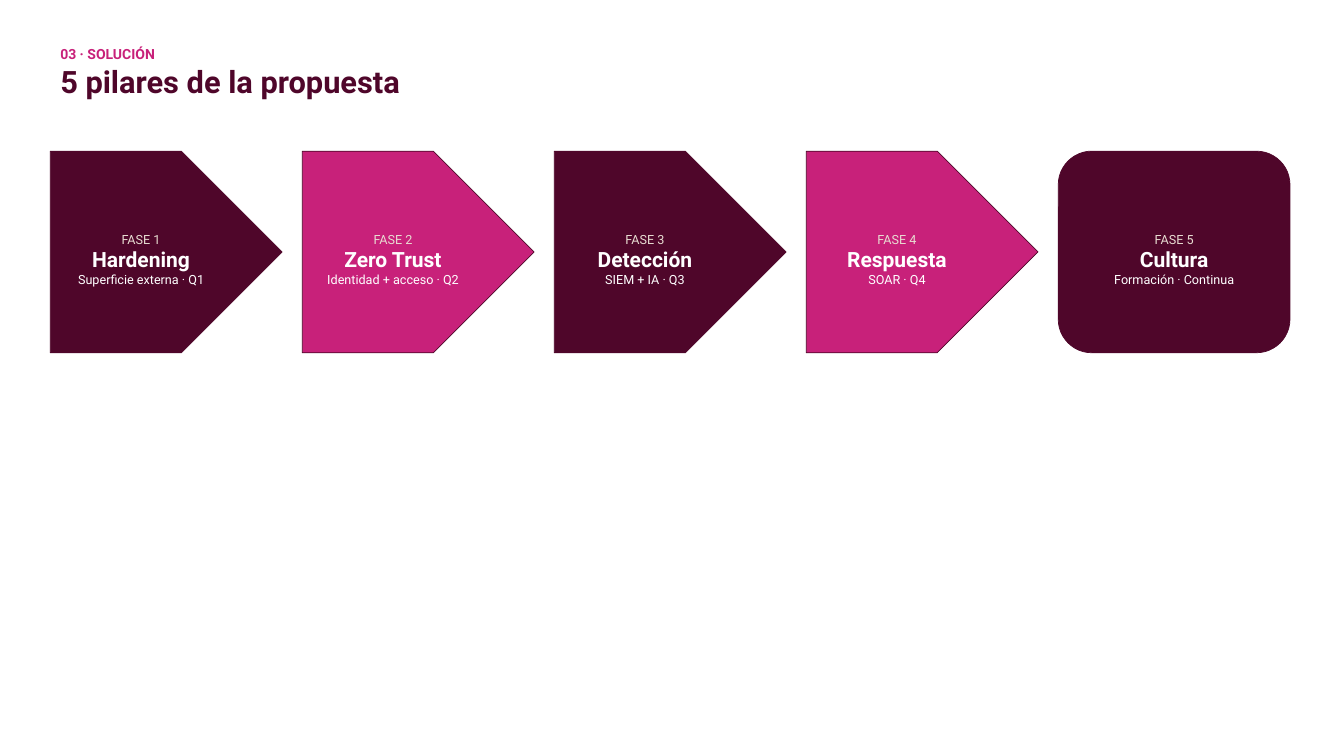
from dataclasses import dataclass

from pptx import Presentation
from pptx import util as u
from pptx.dml import color
from pptx.enum import shapes, text
from pptx.shapes.autoshape import Shape
from pptx.slide import Slide
from pptx.text.text import TextFrame

COLORS = {
    "plum": "4F062A",
    "magenta": "C8217A",
    "sand": "E8DDD2",
    "white": "FFFFFF",
}
FONT = "Roboto"
PILLAR_LEFT, PILLAR_TOP = 1.27, 3.81
PILLAR_WIDTH, PILLAR_HEIGHT = 5.84, 5.08
PILLAR_STEP = 6.35


@dataclass(frozen=True)
class Line:
    content: str
    size: float
    ink: str
    bold: bool = False


@dataclass(frozen=True)
class Pillar:
    title: str
    detail: str
    fill: str
    outline: shapes.MSO_SHAPE = shapes.MSO_SHAPE.PENTAGON


PILLARS = [
    Pillar("Hardening", "Superficie externa · Q1", "plum"),
    Pillar("Zero Trust", "Identidad + acceso · Q2", "magenta"),
    Pillar("Detección", "SIEM + IA · Q3", "plum"),
    Pillar("Respuesta", "SOAR · Q4", "magenta"),
    Pillar("Cultura", "Formación · Continua", "plum", shapes.MSO_SHAPE.ROUNDED_RECTANGLE),
]


def rgb(name: str) -> color.RGBColor:
    return color.RGBColor.from_string(COLORS[name])


def write_lines(frame: TextFrame, lines: list[Line], align: text.PP_ALIGN) -> None:
    for index, line in enumerate(lines):
        paragraph = frame.add_paragraph() if index else frame.paragraphs[0]
        paragraph.alignment = align
        run = paragraph.add_run()
        run.text = line.content
        font_format = {"name": FONT, "size": u.Pt(line.size), "bold": line.bold}
        for attribute, value in font_format.items():
            setattr(run.font, attribute, value)
        run.font.color.rgb = rgb(line.ink)


def draw_heading(slide: Slide) -> None:
    heading = slide.shapes.add_textbox(u.Cm(1.27), u.Cm(1.02), u.Cm(31.24), u.Cm(1.27))
    frame = heading.text_frame
    frame.word_wrap = False
    frame.auto_size = text.MSO_AUTO_SIZE.SHAPE_TO_FIT_TEXT
    lines = [
        Line("03 · SOLUCIÓN", 10, "magenta", True),
        Line("5 pilares de la propuesta", 22, "plum", True),
    ]
    write_lines(frame, lines, text.PP_ALIGN.LEFT)


def draw_pillar(slide: Slide, position: int, pillar: Pillar) -> Shape:
    block = slide.shapes.add_shape(
        pillar.outline,
        u.Cm(PILLAR_LEFT + position * PILLAR_STEP),
        u.Cm(PILLAR_TOP),
        u.Cm(PILLAR_WIDTH),
        u.Cm(PILLAR_HEIGHT),
    )
    block.shadow.inherit = False
    block.fill.solid()
    block.fill.fore_color.rgb = rgb(pillar.fill)
    block.line.color.rgb = rgb("plum")
    block.line.width = u.Pt(0.5)
    frame_format = {
        "word_wrap": True,
        "vertical_anchor": text.MSO_ANCHOR.MIDDLE,
        "margin_left": u.Cm(0.51),
        "margin_top": u.Cm(0.51),
        "margin_right": u.Cm(0.51),
        "margin_bottom": u.Cm(0.13),
    }
    for attribute, value in frame_format.items():
        setattr(block.text_frame, attribute, value)
    lines = [
        Line(f"FASE {position + 1}", 9, "sand"),
        Line(pillar.title, 15, "white", True),
        Line(pillar.detail, 9, "white"),
    ]
    write_lines(block.text_frame, lines, text.PP_ALIGN.CENTER)
    return block


def main() -> None:
    deck = Presentation()
    deck.slide_width, deck.slide_height = u.Cm(33.87), u.Cm(19.05)
    slide = deck.slides.add_slide(deck.slide_layouts[6])
    draw_heading(slide)
    for position, pillar in enumerate(PILLARS):
        draw_pillar(slide, position, pillar)
    deck.save("out.pptx")


if __name__ == "__main__":
    main()
